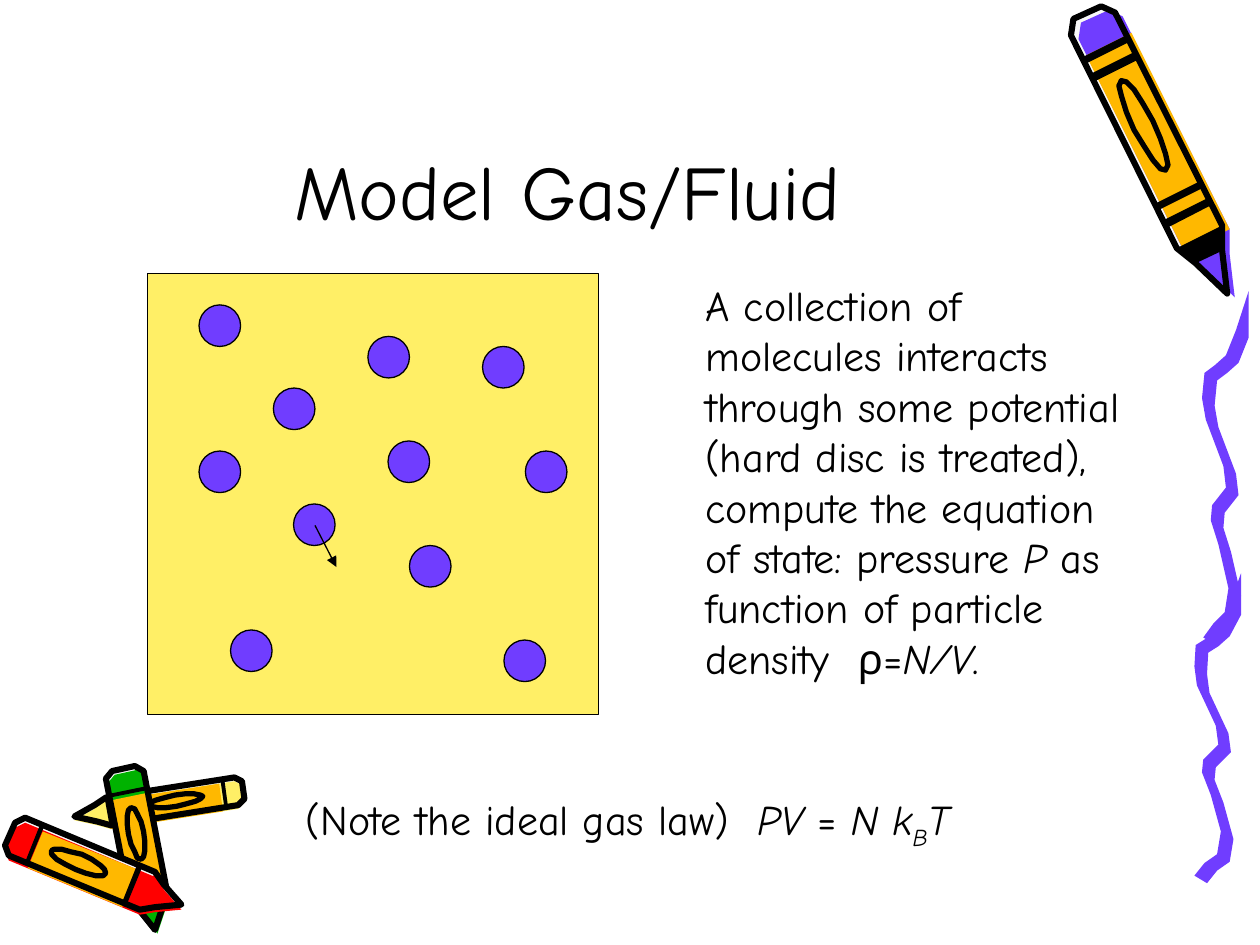
import math
import pptx
import pptx.util
import pptx.dml.color
import pptx.enum.shapes
import pptx.enum.text
import pptx.oxml.ns
import lxml.etree

PX = 9144
FONT = "Comic Neue"
BLACK, WHITE, VIOLET, YELLOW = "000000", "F8F8F8", "703DFF", "FFEF66"
ORANGE, RED, GREEN = "FFB800", "FF0000", "00B200"
color = pptx.dml.color.RGBColor.from_string


def paint(shape, fill, line_width):
    shape.shadow.inherit = False
    if fill:
        shape.fill.solid()
        shape.fill.fore_color.rgb = color(fill)
    else:
        shape.fill.background()
    if line_width:
        shape.line.color.rgb = color(BLACK)
        shape.line.width = pptx.util.Pt(line_width)
    else:
        shape.line.fill.background()


def write(shape, runs, size, frame_format, alignment):
    frame = shape.text_frame
    for name, value in frame_format.items():
        setattr(frame, name, value)
    paragraph = frame.paragraphs[0]
    paragraph.alignment = alignment
    for text, italic, baseline in runs:
        run = paragraph.add_run()
        run.text = text
        font_format = {"name": FONT, "size": pptx.util.Pt(size), "italic": italic}
        for name, value in font_format.items():
            setattr(run.font, name, value)
        run.font.color.rgb = color(BLACK)
        if baseline:
            run._r.get_or_add_rPr().set("baseline", str(baseline))


presentation = pptx.Presentation()
presentation.slide_width = 1000 * PX
presentation.slide_height = 750 * PX
slide = presentation.slides.add_slide(presentation.slide_layouts[5])

SHOULDER, COLLAR = 0.8, 0.87
BAND = 0.025
silhouette = [(0, -0.6), (0, 0.6), (0.04, 1), (SHOULDER, 1), (COLLAR, 0.6),
              (1, 0), (COLLAR, -0.6), (SHOULDER, -1), (0.04, -1)]
collar = [(SHOULDER, -1), (SHOULDER, 1), (COLLAR, 0.6), (COLLAR, -0.6)]
label = [(0.4 + 0.16 * math.cos(math.tau * step / 16), 0.4 * math.sin(math.tau * step / 16))
         for step in range(16)]

crayons = [
    {"end": 193 + 627j, "tip": 59 + 648j, "half": 11, "shift": 0 + 3j, "tint": YELLOW,
     "collar": YELLOW, "barrel": (0.13, 0.8), "bands": (0.1, 0.78)},
    {"end": 98 + 610j, "tip": 123 + 738j, "half": 15, "shift": 2 + 3j, "tint": GREEN,
     "collar": GREEN, "barrel": (0.15, 0.8), "bands": (0.13,)},
    {"end": 8 + 662j, "tip": 144 + 718j, "half": 16, "shift": 0 + 4j, "tint": RED,
     "collar": RED, "barrel": (0.15, 0.7), "bands": (0.13, 0.7)},
    {"end": 863 + 10j, "tip": 974 + 233j, "half": 20, "shift": 6 + 3j, "tint": VIOLET,
     "collar": BLACK, "barrel": (0.1, 0.8), "bands": (0.12, 0.18, 0.64, 0.7)},
]
outlines = []
for crayon in crayons:
    axis = crayon["tip"] - crayon["end"]
    slimness = crayon["half"] / abs(axis)
    start, stop = crayon["barrel"]
    barrel = [(start, -1), (start, 1), (stop, 1), (stop, -1)]
    parts = [
        (silhouette, WHITE, 0, 0),
        (silhouette, crayon["tint"], 0, crayon["shift"]),
        (barrel, ORANGE, 0, crayon["shift"]),
        (collar, crayon["collar"], 0, 0),
        (label, None, 3, 0),
        (silhouette, None, 3.5, 0),
    ]
    for band in crayon["bands"]:
        stripe = [(band, -1), (band, 1), (band + BAND, 1), (band + BAND, -1)]
        parts.append((stripe, BLACK, 0, 0))
    for points, fill, line_width, shift in parts:
        placed = [crayon["end"] + shift + axis * complex(along, across * slimness)
                  for along, across in points]
        outlines.append((placed, fill, line_width))

wave_percent = [(100, 0), (86, 12), (62, 19), (37, 22), (15, 24), (10, 31), (18, 37), (57, 50),
                (63, 56), (31, 61), (29, 65), (46, 72), (69, 84), (60, 91), (34, 94), (11, 98)]
pen = 5 + 3j
for left, top, width, height in [(949, 455, 36, 248), (956, 231, 35, 284)]:
    wave = [complex(left + width * across / 100, top + height * down / 100)
            for across, down in wave_percent]
    right_edge = [point + pen for point in wave[1:]]
    left_edge = [point - pen for point in reversed(wave[1:])]
    outlines.append(([wave[0]] + right_edge + left_edge, VIOLET, 0))

for points, fill, line_width in outlines:
    corners = [(round(point.real), round(point.imag)) for point in points]
    builder = slide.shapes.build_freeform(*corners[0], scale=PX)
    builder.add_line_segments(corners[1:], close=True)
    paint(builder.convert_to_shape(), fill, line_width)

title = slide.shapes.title
for name, value in {"left": 75, "top": 17, "width": 751, "height": 175}.items():
    setattr(title, name, value * PX)
write(title, [("Model Gas/Fluid", False, 0)], 44,
      {"vertical_anchor": pptx.enum.text.MSO_ANCHOR.BOTTOM, "word_wrap": True},
      pptx.enum.text.PP_ALIGN.CENTER)

container = slide.shapes.add_shape(
    pptx.enum.shapes.MSO_SHAPE.RECTANGLE, *[value * PX for value in (117, 217, 358, 350)])
paint(container, YELLOW, 0.75)

DIAMETER = 33
molecules = [(233, 400), (308, 350), (325, 433), (158, 242), (383, 275), (183, 500),
             (158, 358), (292, 267), (417, 358), (400, 508), (217, 308)]
for left, top in molecules:
    molecule = slide.shapes.add_shape(
        pptx.enum.shapes.MSO_SHAPE.OVAL, left * PX, top * PX, DIAMETER * PX, DIAMETER * PX)
    paint(molecule, VIOLET, 0.75)

texts = [
    ((550, 217, 358, 330), [
        ("A collection of molecules interacts through some potential (hard disc is treated), "
         "compute the equation of state: pressure ", False, 0),
        ("P", True, 0),
        (" as function of particle density  ρ=", False, 0),
        ("N/V", True, 0),
        (".", False, 0)]),
    ((233, 625, 617, 56), [
        ("(Note the ideal gas law)  ", False, 0),
        ("PV", True, 0),
        (" = ", False, 0),
        ("N k", True, 0),
        ("B", True, -25000),
        ("T", True, 0)]),
]
for box, runs in texts:
    textbox = slide.shapes.add_textbox(*[value * PX for value in box])
    write(textbox, runs, 24,
          {"word_wrap": True, "auto_size": pptx.enum.text.MSO_AUTO_SIZE.SHAPE_TO_FIT_TEXT},
          pptx.enum.text.PP_ALIGN.LEFT)

velocity = slide.shapes.add_connector(
    pptx.enum.shapes.MSO_CONNECTOR.STRAIGHT, *[value * PX for value in (250, 417, 267, 450)])
velocity.line.color.rgb = color(BLACK)
velocity.line.width = pptx.util.Pt(0.75)
arrowhead = lxml.etree.SubElement(velocity.line._get_or_add_ln(), pptx.oxml.ns.qn("a:tailEnd"))
arrowhead.set("type", "triangle")
lxml.etree.SubElement(velocity._element.spPr, pptx.oxml.ns.qn("a:effectLst"))

presentation.save("out.pptx")
